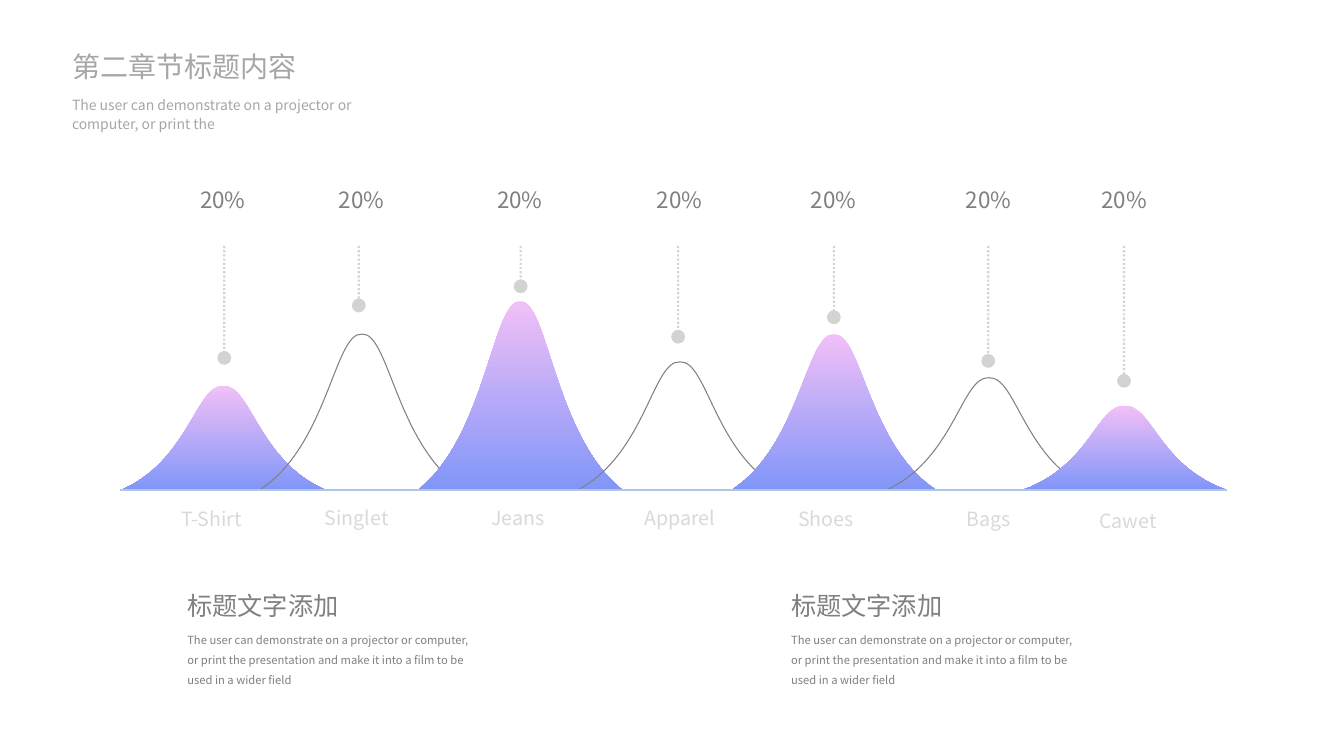
from collections import namedtuple
from dataclasses import dataclass

from lxml.etree import SubElement
from pptx import Presentation
from pptx.dml.color import RGBColor
from pptx.enum.dml import MSO_LINE
from pptx.enum.shapes import MSO_CONNECTOR
from pptx.enum.text import MSO_AUTO_SIZE, PP_ALIGN
from pptx.oxml.ns import qn
from pptx.util import Pt

TITLE = "第二章节标题内容"
SUBTITLE = "The user can demonstrate on a projector or computer, or print the"
NOTE_TITLE = "标题文字添加"
NOTE_BODY = ("The user can demonstrate on a projector or computer, or print the "
             "presentation and make it into a film to be used in a wider field")
NOTE_LEFTS = (126.7, 558)

# Horizontal positions are centres; pin_end is where the dotted pin stops.
Peak = namedtuple("Peak", "name share center height filled pin_x pin_end label_x label_top")
PEAKS = [
    Peak("T-Shirt", "20%", 159.6, 75.6, True, 160.2, 255.6, 151, 358.6),
    Peak("Singlet", "20%", 258.5, 113, False, 256.3, 218.2, 254.7, 357.8),
    Peak("Jeans", "20%", 371.6, 136.8, True, 371.9, 204.5, 370.1, 357.8),
    Peak("Apparel", "20%", 485.7, 92.9, False, 484.4, 240.5, 485.5, 357.8),
    Peak("Shoes", "20%", 595.7, 113, True, 595.6, 226.6, 589.9, 358.6),
    Peak("Bags", "20%", 706.4, 81.4, False, 705.9, 257.8, 706.3, 358.6),
    Peak("Cawet", "20%", 803.3, 61.2, True, 802.9, 272, 805.7, 360),
]
BASELINE = 350
AXIS = (85.7, 876.2)
HALF_WIDTH = 73.1
PIN_TOP = 175.7
SHARE_TOP = 129.2
# Right half of a bell from foot to crest, in half widths and heights.
BELL_SIDE = [(1, 0), (0.335, 0.276), (0.266, 1), (0, 0.985)]


@dataclass(frozen=True)
class Theme:
    font: str = "Noto Sans CJK SC"
    heading: str = "A6A6A6"
    text: str = "808080"
    label: str = "D9D9D9"
    pin: str = "BFBFBF"
    axis: str = "B0C6E1"
    peak_top: str = "F3C0F7"
    peak_bottom: str = "8196F8"
    title_size: int = 20
    subtitle_size: int = 10
    share_size: int = 16
    label_size: int = 14
    note_title_size: int = 18
    note_body_size: int = 8


THEME = Theme()


def rgb(color):
    return RGBColor.from_string(color)


def add_text(page, text, left, top, width, height, size, color,
             align=PP_ALIGN.LEFT, spacing=None):
    box = page.shapes.add_textbox(Pt(left), Pt(top), Pt(width), Pt(height))
    frame = box.text_frame
    frame.word_wrap = True
    frame.auto_size = MSO_AUTO_SIZE.SHAPE_TO_FIT_TEXT
    para = frame.paragraphs[0]
    para.text = text
    para.alignment = align
    para.line_spacing = spacing
    para.font.size = Pt(size)
    para.font.color.rgb = rgb(color)
    para.font.name = THEME.font
    defaults = para._p.pPr.find(qn("a:defRPr"))
    SubElement(defaults, qn("a:ea")).set("typeface", THEME.font)


def add_line(page, start, end, color, weight):
    line = page.shapes.add_connector(MSO_CONNECTOR.STRAIGHT, *map(Pt, start + end))
    line.line.color.rgb = rgb(color)
    line.line.width = Pt(weight)
    SubElement(line._element.spPr, qn("a:effectLst"))
    return line


def add_pin(page, peak):
    """Dotted, partly transparent line ending in a round dot."""
    pin = add_line(page, (peak.pin_x, PIN_TOP), (peak.pin_x, peak.pin_end), THEME.pin, 1.5)
    pin.line.dash_style = MSO_LINE.ROUND_DOT
    outline = pin._element.spPr.find(qn("a:ln"))
    color = outline.find(qn("a:solidFill")).find(qn("a:srgbClr"))
    SubElement(color, qn("a:alpha")).set("val", "67000")
    tail = SubElement(outline, qn("a:tailEnd"))
    for key, value in (("type", "oval"), ("w", "lg"), ("len", "lg")):
        tail.set(key, value)


def merge_into_curve(segments):
    """Turn three straight segments into one cubic curve through their points."""
    path = segments[0].getparent()
    curve = SubElement(path, qn("a:cubicBezTo"))
    segments[0].addprevious(curve)
    for segment in segments:
        curve.append(segment[0])
        path.remove(segment)


def add_bell(page, peak):
    mirrored = [(-x, y) for x, y in reversed(BELL_SIDE[:-1])]
    points = [(Pt(peak.center + x * HALF_WIDTH), Pt(BASELINE - y * peak.height))
              for x, y in [(0, 0)] + BELL_SIDE + mirrored]
    builder = page.shapes.build_freeform(*points[0])
    builder.add_line_segments(points[1:], close=True)
    bell = builder.convert_to_shape()
    segments = list(bell._element.spPr.iter(qn("a:lnTo")))
    merge_into_curve(segments[1:4])
    merge_into_curve(segments[4:7])
    bell.shadow.inherit = False
    if peak.filled:
        bell.fill.gradient()
        bell.fill.gradient_angle = 270
        for stop, color in zip(bell.fill.gradient_stops, (THEME.peak_top, THEME.peak_bottom)):
            stop.color.rgb = rgb(color)
        bell.line.fill.background()
    else:
        bell.fill.background()
        bell.line.color.rgb = rgb(THEME.text)
        bell.line.width = Pt(0.75)


def main():
    deck = Presentation()
    deck.slide_width, deck.slide_height = Pt(960), Pt(540)
    page = deck.slides.add_slide(deck.slide_layouts[6])

    add_text(page, TITLE, 44.4, 32, 224.6, 31.7, THEME.title_size, THEME.heading)
    add_text(page, SUBTITLE, 44.4, 63.4, 257, 34.6, THEME.subtitle_size, THEME.heading,
             spacing=1.14)

    for peak in PEAKS:
        add_bell(page, peak)
        add_text(page, peak.name, peak.label_x - 56, peak.label_top, 112, 24.5,
                 THEME.label_size, THEME.label, PP_ALIGN.CENTER)
        add_text(page, peak.share, peak.center - 25.9, SHARE_TOP, 51, 26.6,
                 THEME.share_size, THEME.text, PP_ALIGN.CENTER)
        add_pin(page, peak)
    add_line(page, (AXIS[0], BASELINE), (AXIS[1], BASELINE), THEME.axis, 0.75)

    for left in NOTE_LEFTS:
        add_text(page, NOTE_TITLE, left, 414, 155.5, 31, THEME.note_title_size, THEME.text,
                 spacing=1.2)
        add_text(page, NOTE_BODY, left, 444.2, 218.2, 51.1, THEME.note_body_size, THEME.text,
                 spacing=1.5)

    deck.save("out.pptx")


if __name__ == "__main__":
    main()
